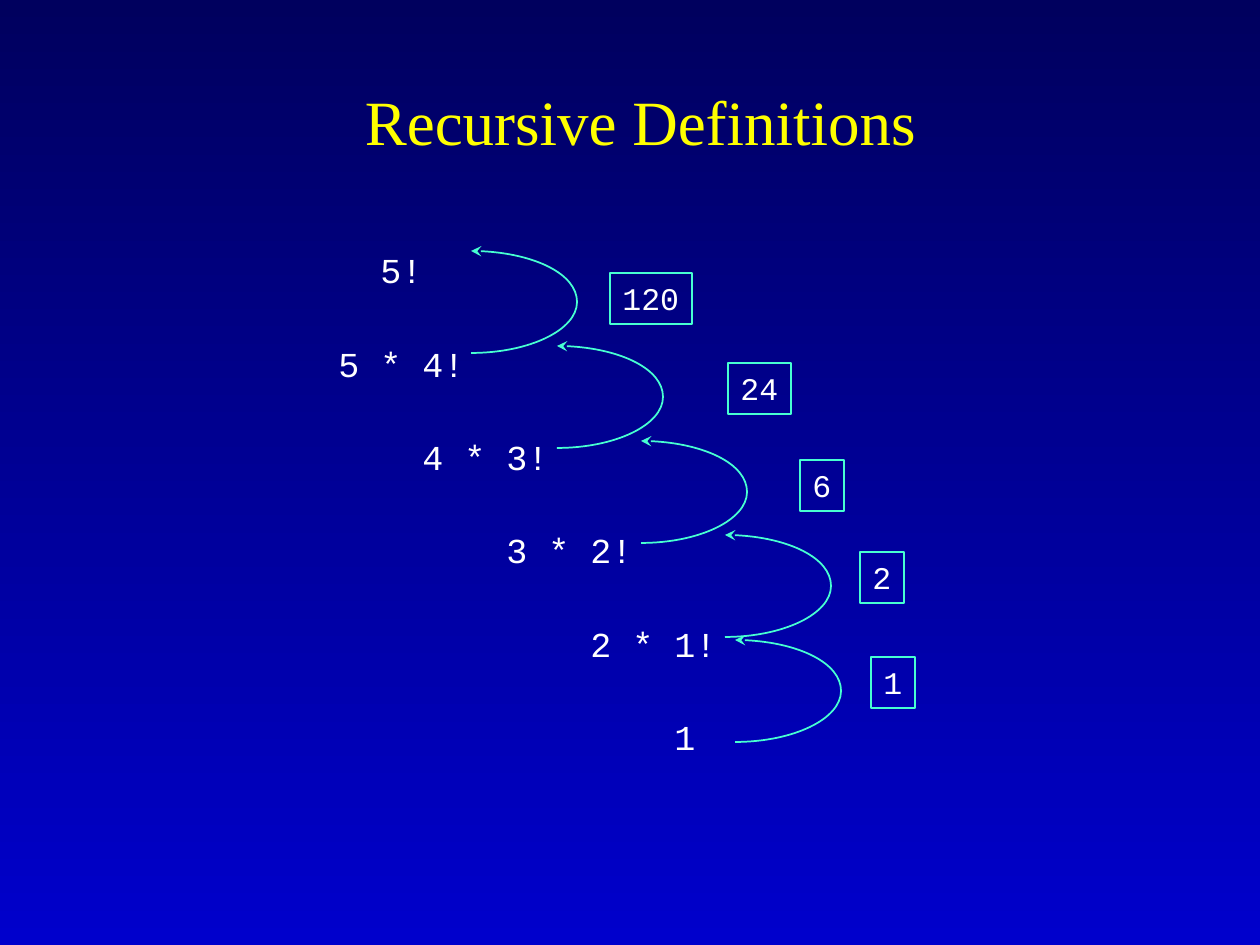
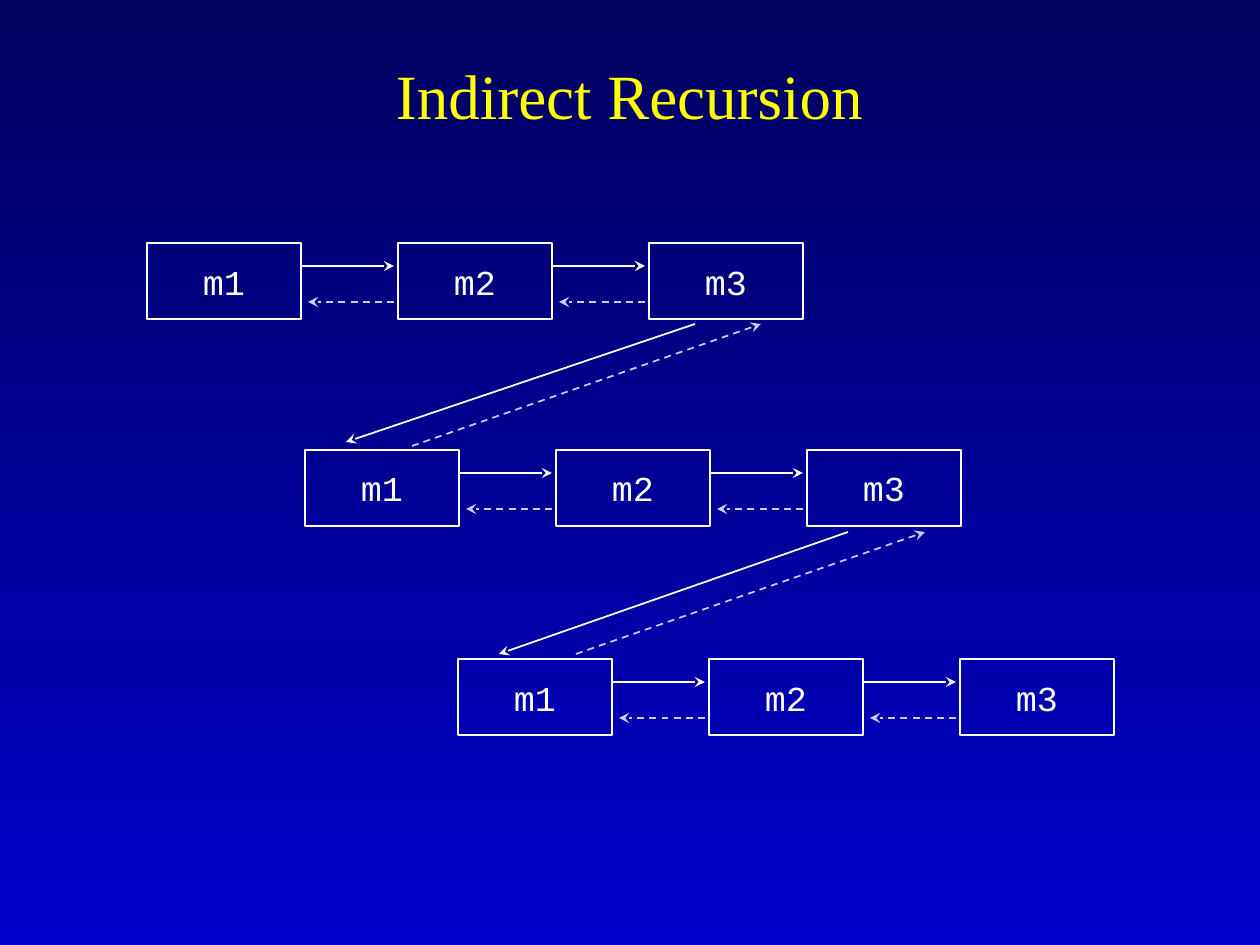
from dataclasses import dataclass
from itertools import pairwise

from lxml.etree import SubElement
from pptx import Presentation
from pptx.dml.color import RGBColor
from pptx.enum.dml import MSO_LINE
from pptx.enum.shapes import MSO_CONNECTOR, MSO_SHAPE
from pptx.enum.text import MSO_ANCHOR, MSO_AUTO_SIZE, PP_ALIGN
from pptx.oxml.ns import qn
from pptx.shapes.autoshape import Shape
from pptx.shapes.base import BaseShape
from pptx.slide import Slide
from pptx.text.text import Font
from pptx.util import Emu, Pt

PX_PER_INCH = 126
EMU_PER_PX = 914400 / PX_PER_INCH


@dataclass(frozen=True)
class Theme:
    night: RGBColor = RGBColor(0x00, 0x00, 0x5E)
    blue: RGBColor = RGBColor(0x00, 0x00, 0xCC)
    yellow: RGBColor = RGBColor(0xFF, 0xFF, 0x00)
    white: RGBColor = RGBColor(0xFF, 0xFF, 0xFF)
    mint: RGBColor = RGBColor(0x47, 0xFF, 0xD1)
    lavender: RGBColor = RGBColor(0xCC, 0xCC, 0xFF)
    title_font: str = "Times New Roman"
    code_font: str = "Courier New"
    title_size: Pt = Pt(36)
    code_size: Pt = Pt(20)
    result_size: Pt = Pt(18)
    step_gap: Pt = Pt(29.3)
    line_width: Pt = Pt(1)
    result_border: Pt = Pt(0.75)


@dataclass(frozen=True)
class Box:
    left: int
    top: int
    width: int
    height: int

    def emu(self) -> tuple[Emu, Emu, Emu, Emu]:
        return px(self.left), px(self.top), px(self.width), px(self.height)


@dataclass(frozen=True)
class Step:
    text: str
    indent_chars: int


@dataclass(frozen=True)
class Result:
    value: str
    left: int
    top: int
    arc_left: int
    arc_top: int


@dataclass(frozen=True)
class Point:
    x: int
    y: int


@dataclass(frozen=True)
class Arrow:
    start: Point
    end: Point
    is_return: bool = False


THEME = Theme()

STEPS = [
    Step("5!", 7),
    Step("5 * 4!", 5),
    Step("4 * 3!", 9),
    Step("3 * 2!", 13),
    Step("2 * 1!", 17),
    Step("1", 21),
]
STEPS_BOX = Box(221, 210, 882, 567)
STEPS_TOP_MARGIN = 39
CHAR_WIDTH = 21

RESULTS = [
    Result("120", 610, 273, 471, 251),
    Result("24", 728, 363, 557, 346),
    Result("6", 800, 460, 641, 441),
    Result("2", 860, 552, 725, 535),
    Result("1", 871, 657, 735, 640),
]
RESULT_PADDING = 25
RESULT_CHAR_WIDTH = 19
RESULT_HEIGHT = 51
ARC_WIDTH = 106
ARC_HEIGHT = 102
QUARTER_ELLIPSE = 0.55

METHODS = ["m1", "m2", "m3"]
CALL_ROWS = [Point(147, 243), Point(305, 450), Point(458, 659)]
METHOD_WIDTH = 154
METHOD_HEIGHT = 76
METHOD_PITCH = 251
CALL_DROP = 23
RETURN_DROP = 59
ROW_LINKS = [
    Arrow(Point(695, 324), Point(346, 442)),
    Arrow(Point(848, 532), Point(499, 654)),
    Arrow(Point(412, 446), Point(761, 324), True),
    Arrow(Point(576, 654), Point(925, 532), True),
]


def px(length: float) -> Emu:
    return Emu(round(length * EMU_PER_PX))


def style_font(font: Font, name: str, size: Pt, color: RGBColor) -> None:
    font.name = name
    font.size = size
    font.color.rgb = color


def add_arrowhead(shape: BaseShape, end: str) -> None:
    SubElement(shape.element.spPr.find(qn("a:ln")), qn(f"a:{end}"), type="stealth")


def outline(shape: Shape, color: RGBColor, width: Pt) -> None:
    shape.fill.background()
    shape.line.color.rgb = color
    shape.line.width = width
    shape.shadow.inherit = False


def add_titled_slide(prs: Presentation, text: str, box: Box) -> Slide:
    slide = prs.slides.add_slide(prs.slide_layouts.get_by_name("Title Only"))
    title = slide.shapes.title
    title.left, title.top, title.width, title.height = box.emu()
    frame = title.text_frame
    frame.text = text
    frame.auto_size = MSO_AUTO_SIZE.NONE
    frame.vertical_anchor = MSO_ANCHOR.MIDDLE
    heading = frame.paragraphs[0]
    heading.alignment = PP_ALIGN.CENTER
    style_font(heading.runs[0].font, THEME.title_font, THEME.title_size, THEME.yellow)
    return slide


def add_code_box(slide: Slide, text: str, box: Box, size: Pt, border: RGBColor,
                 border_width: Pt, align: PP_ALIGN, anchor: MSO_ANCHOR) -> None:
    code_box = slide.shapes.add_shape(MSO_SHAPE.RECTANGLE, *box.emu())
    outline(code_box, border, border_width)
    frame = code_box.text_frame
    frame.text = text
    frame.word_wrap = False
    frame.vertical_anchor = anchor
    label = frame.paragraphs[0]
    label.alignment = align
    style_font(label.runs[0].font, THEME.code_font, size, THEME.white)


def add_steps(slide: Slide) -> None:
    frame = slide.shapes.add_textbox(*STEPS_BOX.emu()).text_frame
    frame.word_wrap = True
    frame.margin_top = px(STEPS_TOP_MARGIN)
    frame.text = "\n".join(step.text for step in STEPS)
    for index, (step, line) in enumerate(zip(STEPS, frame.paragraphs)):
        line.space_before = THEME.step_gap if index else Pt(0)
        indent = px(step.indent_chars * CHAR_WIDTH)
        line._p.get_or_add_pPr().set("marL", str(indent))
        style_font(line.runs[0].font, THEME.code_font, THEME.code_size, THEME.white)


def add_return_arc(slide: Slide, left: int, top: int) -> None:
    middle = ARC_HEIGHT / 2
    reach_x = ARC_WIDTH * QUARTER_ELLIPSE
    reach_y = middle * QUARTER_ELLIPSE
    curves = [
        [(reach_x, 0), (ARC_WIDTH, middle - reach_y), (ARC_WIDTH, middle)],
        [(ARC_WIDTH, middle + reach_y), (reach_x, ARC_HEIGHT), (0, ARC_HEIGHT)],
    ]
    builder = slide.shapes.build_freeform(px(left), px(top))
    builder.add_line_segments(
        [(px(left + x), px(top + y)) for *_, (x, y) in curves], close=False)
    arc = builder.convert_to_shape()
    for segment, curve in zip(list(arc.element.iter(qn("a:lnTo"))), curves):
        segment.tag = qn("a:cubicBezTo")
        segment.remove(segment[0])
        for x, y in curve:
            SubElement(segment, qn("a:pt"), x=str(px(x)), y=str(px(y)))
    outline(arc, THEME.mint, THEME.line_width)
    add_arrowhead(arc, "headEnd")


def add_result(slide: Slide, result: Result) -> None:
    add_return_arc(slide, result.arc_left, result.arc_top)
    width = RESULT_PADDING + RESULT_CHAR_WIDTH * len(result.value)
    add_code_box(slide, result.value, Box(result.left, result.top, width, RESULT_HEIGHT),
                 THEME.result_size, THEME.mint, THEME.result_border,
                 PP_ALIGN.LEFT, MSO_ANCHOR.TOP)


def add_arrow(slide: Slide, arrow: Arrow) -> None:
    connector = slide.shapes.add_connector(
        MSO_CONNECTOR.STRAIGHT, px(arrow.start.x), px(arrow.start.y),
        px(arrow.end.x), px(arrow.end.y))
    connector.line.color.rgb = THEME.lavender if arrow.is_return else THEME.white
    connector.line.width = THEME.line_width
    if arrow.is_return:
        connector.line.dash_style = MSO_LINE.DASH
    add_arrowhead(connector, "tailEnd")
    SubElement(connector.element.spPr, qn("a:effectLst"))


def add_call_row(slide: Slide, origin: Point) -> None:
    lefts = [origin.x + i * METHOD_PITCH for i in range(len(METHODS))]
    for method, left in zip(METHODS, lefts):
        add_code_box(slide, method, Box(left, origin.y, METHOD_WIDTH, METHOD_HEIGHT),
                     THEME.code_size, THEME.white, THEME.line_width,
                     PP_ALIGN.CENTER, MSO_ANCHOR.MIDDLE)
    call_y, return_y = origin.y + CALL_DROP, origin.y + RETURN_DROP
    for caller, callee in pairwise(lefts):
        caller_right = caller + METHOD_WIDTH
        add_arrow(slide, Arrow(Point(caller_right + 1, call_y), Point(callee - 4, call_y)))
        add_arrow(slide, Arrow(Point(callee - 4, return_y),
                               Point(caller_right + 7, return_y), True))


def paint_background(prs: Presentation) -> None:
    fill = prs.slide_master.background.fill
    fill.gradient()
    fill.gradient_angle = 270
    for stop, color in zip(fill.gradient_stops, (THEME.night, THEME.blue)):
        stop.color.rgb = color


def build_recursive_definitions(prs: Presentation) -> None:
    slide = add_titled_slide(prs, "Recursive Definitions", Box(105, 41, 1071, 158))
    add_steps(slide)
    for result in RESULTS:
        add_result(slide, result)


def build_indirect_recursion(prs: Presentation) -> None:
    slide = add_titled_slide(prs, "Indirect Recursion", Box(94, 31, 1071, 126))
    for origin in CALL_ROWS:
        add_call_row(slide, origin)
    for link in ROW_LINKS:
        add_arrow(slide, link)


def main() -> None:
    prs = Presentation()
    prs.slide_width, prs.slide_height = px(1260), px(945)
    paint_background(prs)
    build_recursive_definitions(prs)
    build_indirect_recursion(prs)
    prs.save("out.pptx")


if __name__ == "__main__":
    main()
